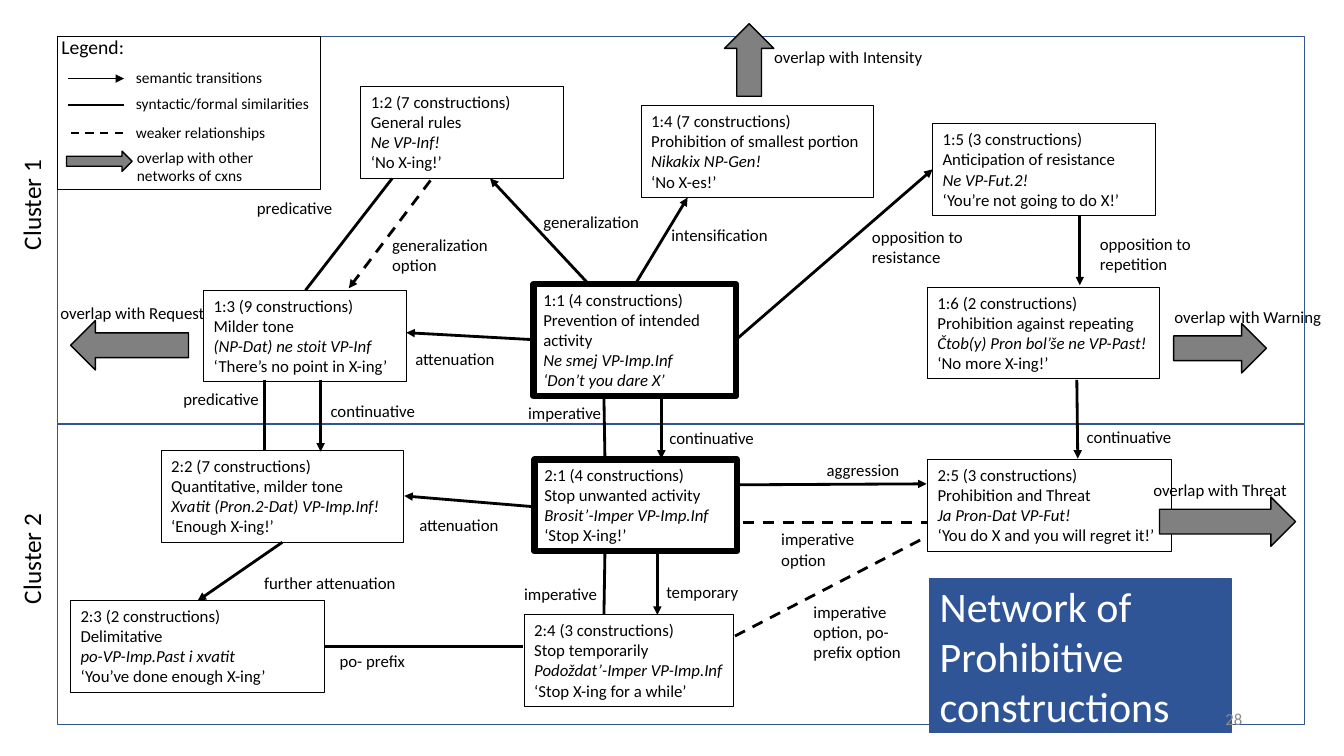
from dataclasses import dataclass

from lxml.etree import SubElement
from pptx import Presentation
from pptx.dml.color import RGBColor
from pptx.enum.dml import MSO_LINE
from pptx.enum.shapes import MSO_CONNECTOR, MSO_SHAPE
from pptx.enum.text import MSO_ANCHOR, MSO_AUTO_SIZE, PP_ALIGN
from pptx.oxml.ns import qn
from pptx.shapes.autoshape import Shape
from pptx.slide import Slide
from pptx.util import Inches, Pt

COLORS = {"black": "000000", "white": "FFFFFF", "frame": "325491",
          "title": "2F5597", "arrow": "808080", "number": "8C8C8C"}
FONT = "Calibri"


@dataclass
class Node:
    left: float
    top: float
    width: float
    lines: tuple[str, ...]
    height: float = 0.91
    border: float = 0.75
    italics: tuple[int, ...] = (2,)


@dataclass
class Label:
    text: str
    left: float
    top: float
    width: float = 1.75
    height: float = 0.3
    size: float = 12
    wrap: bool = True
    rotation: float = 0
    color: str = "black"
    align: PP_ALIGN = PP_ALIGN.LEFT


@dataclass
class Link:
    start: tuple[float, float]
    end: tuple[float, float]
    arrow: bool = True
    dashed: bool = False
    width: float = 2


@dataclass
class Box:
    left: float
    top: float
    width: float
    height: float
    rotation: float = 0


NODES = [
    Node(5.29, 2.82, 2.01, ("1:1 (4 constructions)", "Prevention of intended activity",
                            "Ne smej VP-Imp.Inf", "‘Don’t you dare X’"), 1.11, 4.5, (2, 3)),
    Node(3.58, 0.86, 2.01, ("1:2 (7 constructions)", "General rules", "Ne VP-Inf!", "‘No X-ing!’")),
    Node(6.36, 1.05, 2.3, ("1:4 (7 constructions)", "Prohibition of smallest portion",
                           "Nikakix NP-Gen!", "‘No X-es!’")),
    Node(9.25, 1.23, 2.21, ("1:5 (3 constructions)", "Anticipation of resistance",
                            "Ne VP-Fut.2!", "‘You’re not going to do X!’")),
    Node(9.2, 2.85, 2.3, ("1:6 (2 constructions)", "Prohibition against repeating",
                          "Čtob(y) Pron bol’še ne VP-Past!", "‘No more X-ing!’")),
    Node(2.02, 2.88, 2.01, ("1:3 (9 constructions)", "Milder tone",
                            "(NP-Dat) ne stoit VP-Inf", "‘There’s no point in X-ing’")),
    Node(9.2, 4.56, 2.42, ("2:5 (3 constructions)", "Prohibition and Threat",
                           "Ja Pron-Dat VP-Fut!", "‘You do X and you will regret it!’")),
    Node(5.2, 6.1, 2.08, ("2:4 (3 constructions)", "Stop temporarily",
                          "Podoždat’-Imper VP-Imp.Inf", "‘Stop X-ing for a while’")),
    Node(0.7, 5.96, 2.52, ("2:3 (2 constructions)", "Delimitative",
                           "po-VP-Imp.Past i xvatit", "‘You’ve done enough X-ing’")),
    Node(1.6, 4.47, 2.4, ("2:2 (7 constructions)", "Quantitative, milder tone",
                          "Xvatit (Pron.2-Dat) VP-Imp.Inf!", "‘Enough X-ing!’")),
    Node(5.3, 4.56, 2.01, ("2:1 (4 constructions)", "Stop unwanted activity",
                           "Brosit’-Imper VP-Imp.Inf", "‘Stop X-ing!’"), border=4.5),
]
CLUSTER_FRAMES = [Box(0.57, 0.36, 12.37, 3.84), Box(0.57, 4.21, 12.37, 2.98)]
LEGEND_FRAME = Box(0.57, 0.36, 2.61, 1.52)
BLOCK_ARROWS = [
    Box(7.07, 0.35, 0.72, 0.49, 270), Box(11.5, 4.93, 1.35, 0.49),
    Box(11.64, 3.21, 0.92, 0.49), Box(0.7, 3.18, 1.17, 0.49, 180),
    Box(0.66, 1.5, 0.65, 0.2),
]
LINKS = [
    Link((5.99, 3.93), (6, 4.56), arrow=False),
    Link((6.56, 3.93), (6.56, 4.55)),
    Link((5.84, 2.82), (4.86, 1.77)),
    Link((3.89, 1.77), (3.03, 2.88), arrow=False),
    Link((4.27, 1.79), (3.46, 2.86), dashed=True),
    Link((5.29, 3.37), (4.03, 3.3)),
    Link((6.3, 2.82), (6.82, 1.96)),
    Link((7.3, 3.37), (9.25, 1.68)),
    Link((10.71, 2.14), (10.71, 2.83)),
    Link((5.33, 5.03), (4.01, 4.92)),
    Link((2.62, 3.77), (2.62, 4.47), arrow=False),
    Link((3.18, 3.77), (3.18, 4.48)),
    Link((7.3, 4.81), (9.19, 4.8)),
    Link((7.37, 5.18), (9.2, 5.18), arrow=False, dashed=True),
    Link((10.68, 3.77), (10.69, 4.55)),
    Link((2.8, 5.38), (1.96, 5.96)),
    Link((6, 5.47), (5.99, 6.1), arrow=False),
    Link((6.52, 5.47), (6.52, 6.1)),
    Link((7.29, 6.31), (9.2, 5.32), arrow=False, dashed=True),
    Link((3.22, 6.41), (5.19, 6.41), arrow=False),
    Link((0.67, 0.78), (1.23, 0.78), width=1),
    Link((0.67, 1.04), (1.23, 1.04), arrow=False, width=1.5),
    Link((0.7, 1.32), (1.26, 1.32), arrow=False, dashed=True, width=1.5),
]
LABELS = [
    Label("Cluster 1", -0.24, 1.83, 1.1, 0.4, 18, False, 270),
    Label("Cluster 2", -0.24, 5.34, 1.1, 0.4, 18, False, 270),
    Label("overlap with Request", 0.5, 2.95, 1.68, wrap=False),
    Label("overlap with Warning", 11.55, 2.99),
    Label("overlap with Threat", 11.34, 4.71, 1.54, wrap=False),
    Label("overlap with Intensity", 7.58, 0.41, 1.68, wrap=False),
    Label("imperative", 5.14, 3.95, 1.16),
    Label("continuative", 6.54, 4.19),
    Label("generalization", 5.29, 2.05),
    Label("predicative", 2.45, 1.91),
    Label("generalization\noption", 3.79, 2.28, height=0.5),
    Label("attenuation", 4.02, 3.41),
    Label("intensification", 6.56, 2.18),
    Label("opposition to resistance", 8.55, 2.2, 1.21, 0.5),
    Label("opposition to repetition", 10.81, 2.27, 1.21, 0.5),
    Label("attenuation", 4.06, 5.06),
    Label("predicative", 1.72, 3.81, 1.14),
    Label("continuative", 3.18, 3.93),
    Label("aggression", 8.1, 4.51, 1.21),
    Label("imperative\noption", 7.65, 5.2, 1.16, 0.5),
    Label("continuative", 10.68, 4.18),
    Label("further attenuation", 2.52, 5.63),
    Label("imperative", 5.1, 5.74, 1.16),
    Label("temporary", 6.51, 5.72),
    Label("imperative\noption, po- prefix option", 7.97, 5.92, 1.16, 0.71),
    Label("po- prefix", 3.27, 6.41, 1.16),
    Label("Legend:", 0.51, 0.3, 1.48, 0.34, 14),
    Label("semantic transitions", 1.25, 0.63, 1.74, 0.29, 11),
    Label("syntactic/formal similarities", 1.25, 0.88, 2.11, 0.29, 11),
    Label("weaker relationships", 1.25, 1.17, 1.74, 0.29, 11),
    Label("overlap with other networks of cxns", 1.26, 1.42, 1.74, 0.47, 11),
]
SLIDE_NUMBER = Label("28", 9.42, 6.98, 3, color="number", align=PP_ALIGN.RIGHT)


def rgb(name: str) -> RGBColor:
    return RGBColor.from_string(COLORS[name])


def write(shape: Shape, text: str, size: float, color: str = "black",
          align: PP_ALIGN = PP_ALIGN.LEFT) -> None:
    shape.text_frame.text = text
    for paragraph in shape.text_frame.paragraphs:
        paragraph.alignment = align
        paragraph.font.name, paragraph.font.size = FONT, Pt(size)
        paragraph.font.color.rgb = rgb(color)


def outline(shape: Shape, color: str, width: float, fill: str | None = None) -> None:
    shape.line.color.rgb, shape.line.width = rgb(color), Pt(width)
    if fill:
        shape.fill.solid()
        shape.fill.fore_color.rgb = rgb(fill)
    else:
        shape.fill.background()


def add_box(slide: Slide, box: Box | Node, color: str, width: float,
            kind: MSO_SHAPE = MSO_SHAPE.RECTANGLE, fill: str | None = None) -> Shape:
    shape = slide.shapes.add_shape(kind, Inches(box.left), Inches(box.top),
                                   Inches(box.width), Inches(box.height))
    shape.shadow.inherit = False
    outline(shape, color, width, fill)
    return shape


def add_node(slide: Slide, node: Node) -> None:
    shape = add_box(slide, node, "black", node.border)
    shape.text_frame.vertical_anchor = MSO_ANCHOR.TOP
    write(shape, "\n".join(node.lines), 12)
    for index in node.italics:
        shape.text_frame.paragraphs[index].font.italic = True


def add_label(slide: Slide, label: Label) -> None:
    shape = slide.shapes.add_textbox(Inches(label.left), Inches(label.top),
                                     Inches(label.width), Inches(label.height))
    shape.rotation = label.rotation
    shape.text_frame.word_wrap = label.wrap
    write(shape, label.text, label.size, label.color, label.align)


def add_link(slide: Slide, link: Link) -> None:
    connector = slide.shapes.add_connector(
        MSO_CONNECTOR.STRAIGHT, *map(Inches, link.start + link.end))
    connector.line.color.rgb, connector.line.width = rgb("black"), Pt(link.width)
    if link.dashed:
        connector.line.dash_style = MSO_LINE.DASH
    if link.arrow:
        SubElement(connector.line._get_or_add_ln(), qn("a:tailEnd"), type="triangle")
    SubElement(connector._element.spPr, qn("a:effectLst"))


def format_title(slide: Slide) -> None:
    title = slide.shapes.title
    title.left, title.top, title.width, title.height = map(Inches, (9.22, 5.74, 2.99, 1.53))
    geometry = SubElement(title._element.spPr, qn("a:prstGeom"), prst="roundRect")
    SubElement(geometry, qn("a:avLst"))
    outline(title, "frame", 1, "title")
    write(title, "Network of Prohibitive constructions", 30, "white")
    title.text_frame.word_wrap = True
    title.text_frame.auto_size = MSO_AUTO_SIZE.NONE
    title.text_frame.vertical_anchor = MSO_ANCHOR.MIDDLE
    slide.shapes._spTree.append(title._element)


def main() -> None:
    presentation = Presentation()
    presentation.slide_width, presentation.slide_height = Inches(13.33), Inches(7.5)
    slide = presentation.slides.add_slide(presentation.slide_layouts[5])
    for node in NODES:
        add_node(slide, node)
    for frame in CLUSTER_FRAMES:
        add_box(slide, frame, "frame", 1)
    add_box(slide, LEGEND_FRAME, "black", 1)
    for link in LINKS:
        add_link(slide, link)
    for box in BLOCK_ARROWS:
        add_box(slide, box, "black", 1, MSO_SHAPE.RIGHT_ARROW, "arrow").rotation = box.rotation
    for label in LABELS:
        add_label(slide, label)
    format_title(slide)
    add_label(slide, SLIDE_NUMBER)
    presentation.save("out.pptx")


if __name__ == "__main__":
    main()
